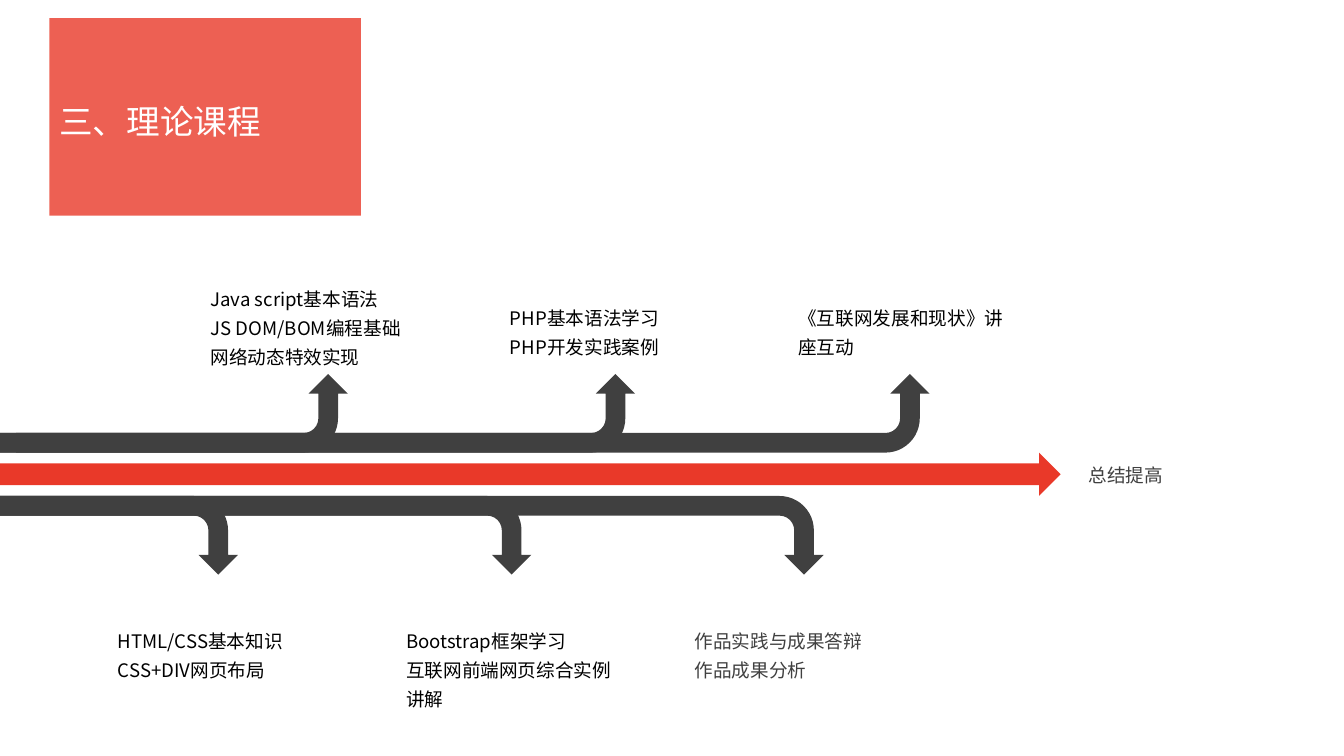
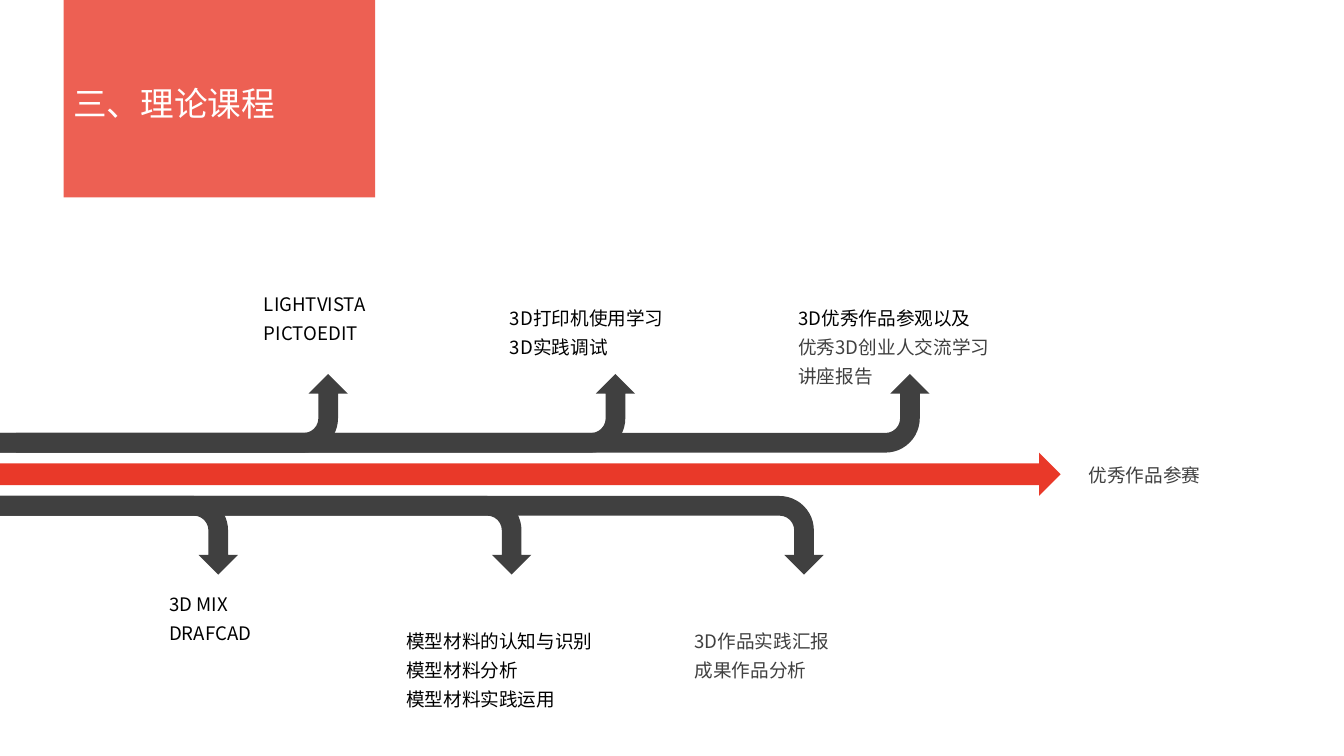
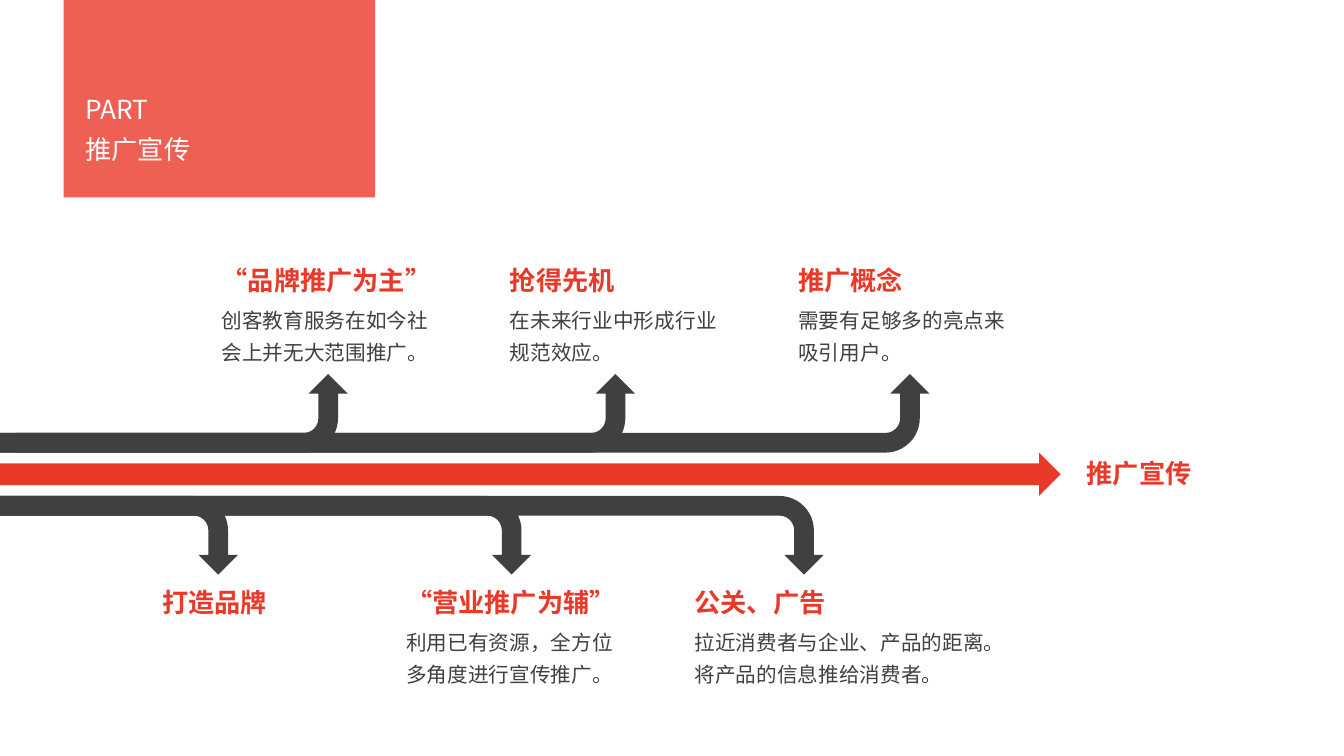
from dataclasses import dataclass

from lxml.etree import SubElement
from pptx import Presentation
from pptx.dml.color import RGBColor
from pptx.enum.shapes import MSO_SHAPE
from pptx.enum.text import MSO_AUTO_SIZE
from pptx.oxml.ns import qn
from pptx.util import Inches, Pt

RED = RGBColor(0xE9, 0x39, 0x29)
DARK = RGBColor(0x40, 0x40, 0x40)
BLACK = RGBColor(0, 0, 0)
WHITE = RGBColor(0xFF, 0xFF, 0xFF)
FONT = "Noto Sans CJK SC"

# Grid, in inches
SLIDE_W, SLIDE_H = 13.33, 7.5
COLUMN = 2.86                      # distance between neighbouring notes
NOTE_W = 2.4
UPPER_X, UPPER_Y = 2.1, 2.93       # first note above the timeline
LOWER_X, LOWER_Y = 1.07, 6.13      # first note below the timeline
GOAL_X, GOAL_Y = 10.7, 4.49        # text at the tip of the red arrow
TIMELINE = (0, 3.71, 10.52, 1.99)
BEND = 0.78                        # height of a bent arrow
UPPER_SPANS = ((0, 9.22), (0, 6.3), (0.16, 3.45))
LOWER_SPANS = ((0, 8.17), (0, 5.27), (0, 2.36))

BODY, LARGE_BODY, HEADING, TITLE = 13.3, 14.7, 18.7, 24


@dataclass
class Note:
    lines: list
    colors: tuple = (BLACK,)       # the last colour serves all further lines
    heading: str = ""
    shift: tuple = (0, 0)
    rows: int = 0                  # rows after wrapping, if more than lines
    width: float = NOTE_W


def add_block(slide, shape_type, box, color):
    block = slide.shapes.add_shape(shape_type, *map(Inches, box))
    block.shadow.inherit = False
    block.fill.solid()
    block.fill.fore_color.rgb = color
    block.line.fill.background()
    return block


def add_text(slide, left, top, width, lines, size, colors,
             rows=0, bold=False, spacing=1.3, wrap=True):
    height = 0.022 * size * (rows or len(lines)) * spacing / 1.3 + 0.1
    box = slide.shapes.add_textbox(*map(Inches, (left, top, width, height)))
    frame = box.text_frame
    frame.word_wrap = wrap
    frame.auto_size = MSO_AUTO_SIZE.SHAPE_TO_FIT_TEXT
    for i, line in enumerate(lines):
        paragraph = frame.paragraphs[0] if i == 0 else frame.add_paragraph()
        paragraph.text = line
        paragraph.line_spacing = spacing
        font = paragraph.font
        font.size, font.bold, font.name = Pt(size), bold, FONT
        font.color.rgb = colors[min(i, len(colors) - 1)]
        # East Asian typeface
        defaults = paragraph._p.pPr.find(qn("a:defRPr"))
        SubElement(defaults, qn("a:ea")).set("typeface", FONT)


def add_heading(slide, left, top, text):
    add_text(slide, left, top, 0.26 * len(text) + 0.2, [text], HEADING, (RED,),
             bold=True, spacing=1, wrap=False)


def add_title(slide, left, top, lines, size, offset, width):
    """Translucent red block with the section title on it."""
    block = add_block(slide, MSO_SHAPE.RECTANGLE, (left, top, 3.09, 1.96), RED)
    color = block.fill._xPr.find(qn("a:solidFill"))[0]
    SubElement(color, qn("a:alpha")).set("val", "80000")
    add_text(slide, left + offset[0], top + offset[1], width,
             lines, size, (WHITE,))


def add_bend(slide, left, right, top, rotation, flips):
    """Bent arrow lying in the given span; its frame is turned on its side."""
    length = right - left
    box = ((left + right - BEND) / 2, top + (BEND - length) / 2, BEND, length)
    bend = add_block(slide, MSO_SHAPE.BENT_ARROW, box, DARK)
    bend.rotation = rotation
    for flip in flips:
        bend._element.spPr.find(qn("a:xfrm")).set(flip, "1")


def add_timeline(slide, left, top, width, height):
    """Red main arrow between arrows bending up and down."""
    add_block(slide, MSO_SHAPE.RIGHT_ARROW,
              (left, top + BEND, width, height - 2 * BEND), RED)
    for start, end in UPPER_SPANS:
        add_bend(slide, left + start, left + end, top, 90, ("flipH",))
    for start, end in LOWER_SPANS:
        add_bend(slide, left + start, left + end, top + height - BEND,
                 270, ("flipH", "flipV"))


def add_notes(slide, left, top, notes, size):
    """Row of notes, one to a column, each with an optional heading."""
    for i, note in enumerate(notes):
        x, y = left + i * COLUMN + note.shift[0], top + note.shift[1]
        if note.heading:
            add_heading(slide, x, y - 0.36, note.heading)
        if note.lines:
            add_text(slide, x, y, note.width, note.lines, size, note.colors,
                     rows=note.rows)


def add_timeline_slide(deck, title, upper, lower, goal, size=BODY):
    slide = deck.slides.add_slide(deck.slide_layouts[6])
    add_title(slide, **title)
    add_timeline(slide, *TIMELINE)
    add_notes(slide, UPPER_X, UPPER_Y, upper, size)
    add_notes(slide, LOWER_X, LOWER_Y, lower, size)
    add_notes(slide, GOAL_X, GOAL_Y, [goal], size)


def main():
    deck = Presentation()
    deck.slide_width, deck.slide_height = Inches(SLIDE_W), Inches(SLIDE_H)
    theory = dict(lines=["三、理论课程"], size=TITLE, offset=(0, 0.65), width=3.2)
    gray = (DARK,)

    # Web course
    add_timeline_slide(
        deck, dict(theory, left=0.49, top=0.18),
        upper=[
            Note(["Java script基本语法", "JS DOM/BOM编程基础", "网络动态特效实现"],
                 shift=(-0.11, -0.19)),
            Note(["PHP基本语法学习", "PHP开发实践案例"]),
            Note(["《互联网发展和现状》讲座互动"], rows=2),
        ],
        lower=[
            Note(["HTML/CSS基本知识", "CSS+DIV网页布局"]),
            Note(["Bootstrap框架学习", "互联网前端网页综合实例讲解"], rows=3),
            Note(["作品实践与成果答辩", "作品成果分析"], gray),
        ],
        goal=Note(["总结提高"], gray))

    # 3D course
    add_timeline_slide(
        deck, dict(theory, left=0.63, top=0),
        upper=[
            Note(["LIGHTVISTA", "PICTOEDIT"], shift=(0.42, -0.14)),
            Note(["3D打印机使用学习", "3D实践调试"]),
            Note(["3D优秀作品参观以及", "优秀3D创业人交流学习", "讲座报告"],
                 (BLACK, DARK)),
        ],
        lower=[
            Note(["3D MIX", "DRAFCAD"], shift=(0.51, -0.36), width=1.56),
            Note(["模型材料的认知与识别", "模型材料分析", "模型材料实践运用"]),
            Note(["3D作品实践汇报", "成果作品分析"], gray),
        ],
        goal=Note(["优秀作品参赛"], gray))

    # Promotion
    add_timeline_slide(
        deck, dict(left=0.63, top=0, lines=["PART", "推广宣传"], size=HEADING,
                   offset=(0.12, 0.78), width=2.71),
        upper=[
            Note(["创客教育服务在如今社会上并无大范围推广。"], gray,
                 "“品牌推广为主”", rows=2),
            Note(["在未来行业中形成行业规范效应。"], gray, "抢得先机", rows=2),
            Note(["需要有足够多的亮点来吸引用户。"], gray, "推广概念", rows=2),
        ],
        lower=[
            Note([], heading="打造品牌", shift=(0.44, 0)),
            Note(["利用已有资源，全方位多角度进行宣传推广。"], gray,
                 "“营业推广为辅”", rows=2),
            Note(["拉近消费者与企业、产品的距离。", "将产品的信息推给消费者。"], gray,
                 "公关、广告", width=3.22),
        ],
        goal=Note([], heading="推广宣传", shift=(-0.02, 0.36)),
        size=LARGE_BODY)

    deck.save("out.pptx")


if __name__ == "__main__":
    main()
